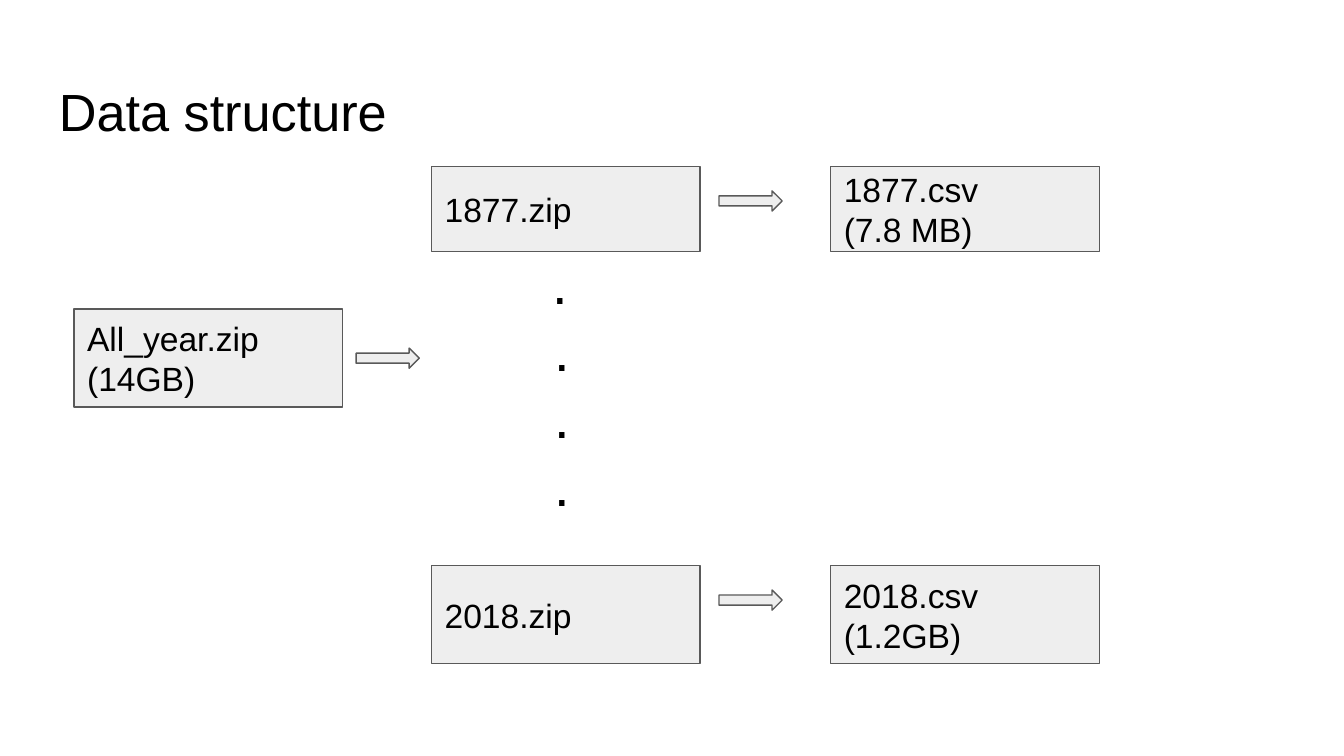
from dataclasses import dataclass

from pptx import Presentation
from pptx.dml.color import RGBColor
from pptx.enum.shapes import MSO_SHAPE as Preset
from pptx.enum.text import MSO_ANCHOR as Anchor, PP_ALIGN as Align
from pptx.shapes.autoshape import Shape
from pptx.slide import Slide
from pptx.util import Pt

PX = 9144
SLIDE_WIDTH = 1000
INSET = 10
BLACK, GREY, OUTLINE = "000000", "EEEEEE", "595959"
ZIP_LEFT, CSV_LEFT = 321, 618
FIRST_TOP, LAST_TOP = 124, 421
BOX_WIDTH, FIRST_HEIGHT, HEIGHT = 200, 63, 73
ARROW_WIDTH, ARROW_HEIGHT = 47, 15
DOT_INDENTS = (79, 81, 81, 81)


@dataclass(frozen=True)
class FileBox:
    """A box for one file, in px."""
    text: str
    left: int
    top: int
    height: int = HEIGHT


@dataclass(frozen=True)
class Arrow:
    """The top left corner of an arrow, in px."""
    left: int
    top: int


FILES = (
    FileBox("All_year.zip\n(14GB)", 55, 230),
    FileBox("1877.zip", ZIP_LEFT, FIRST_TOP, FIRST_HEIGHT),
    FileBox("2018.zip", ZIP_LEFT, LAST_TOP),
    FileBox("1877.csv\n(7.8 MB)", CSV_LEFT, FIRST_TOP, FIRST_HEIGHT),
    FileBox("2018.csv\n(1.2GB)", CSV_LEFT, LAST_TOP),
)
ARROWS = (Arrow(265, 259), Arrow(535, FIRST_TOP + 18), Arrow(535, LAST_TOP + 18))


def color(hex_value: str) -> RGBColor:
    """Turn a hex string into a colour."""
    return RGBColor.from_string(hex_value)


def write(shape: Shape, text: str, size: int, anchor: Anchor) -> None:
    """Put left-aligned Arial text into a shape."""
    frame = shape.text_frame
    frame.text = text
    frame.word_wrap = True
    frame.vertical_anchor = anchor
    frame.margin_left = frame.margin_right = INSET * PX
    frame.margin_top = frame.margin_bottom = INSET * PX
    for paragraph in frame.paragraphs:
        paragraph.alignment = Align.LEFT
        for run in paragraph.runs:
            run.font.name = "Arial"
            run.font.size = Pt(size)
            run.font.color.rgb = color(BLACK)


def add_shape(slide: Slide, preset: Preset, left: int, top: int,
              width: int, height: int) -> Shape:
    """Add a grey outlined shape."""
    shape = slide.shapes.add_shape(
        preset, left * PX, top * PX, width * PX, height * PX)
    shape.shadow.inherit = False
    shape.fill.solid()
    shape.fill.fore_color.rgb = color(GREY)
    shape.line.color.rgb = color(OUTLINE)
    shape.line.width = Pt(0.75)
    return shape


def add_text(slide: Slide, text: str, left: int, top: int,
             width: int, height: int, size: int) -> Shape:
    """Add a text box."""
    box = slide.shapes.add_textbox(left * PX, top * PX, width * PX, height * PX)
    write(box, text, size, Anchor.TOP)
    return box


def add_dots(slide: Slide) -> None:
    """Add the column of dots that stands for the years between."""
    text = "\n".join("." for _ in DOT_INDENTS)
    dots = add_text(slide, text, 322, 175, 184, 137, 30)
    for paragraph, indent in zip(dots.text_frame.paragraphs, DOT_INDENTS):
        properties = paragraph._p.get_or_add_pPr()
        properties.set("marL", str(indent * PX))
        properties.set("indent", "0")


def main() -> None:
    """Build and save the slide."""
    presentation = Presentation()
    presentation.slide_width = SLIDE_WIDTH * PX
    presentation.slide_height = SLIDE_WIDTH * PX * 9 // 16
    slide = presentation.slides.add_slide(presentation.slide_layouts[6])
    add_text(slide, "Data structure", 34, 49, 932, 63, 28)
    for file in FILES:
        box = add_shape(slide, Preset.RECTANGLE, file.left, file.top,
                        BOX_WIDTH, file.height)
        write(box, file.text, 18, Anchor.MIDDLE)
    for arrow in ARROWS:
        add_shape(slide, Preset.RIGHT_ARROW, arrow.left, arrow.top,
                  ARROW_WIDTH, ARROW_HEIGHT)
    add_dots(slide)
    presentation.save("out.pptx")


if __name__ == "__main__":
    main()
